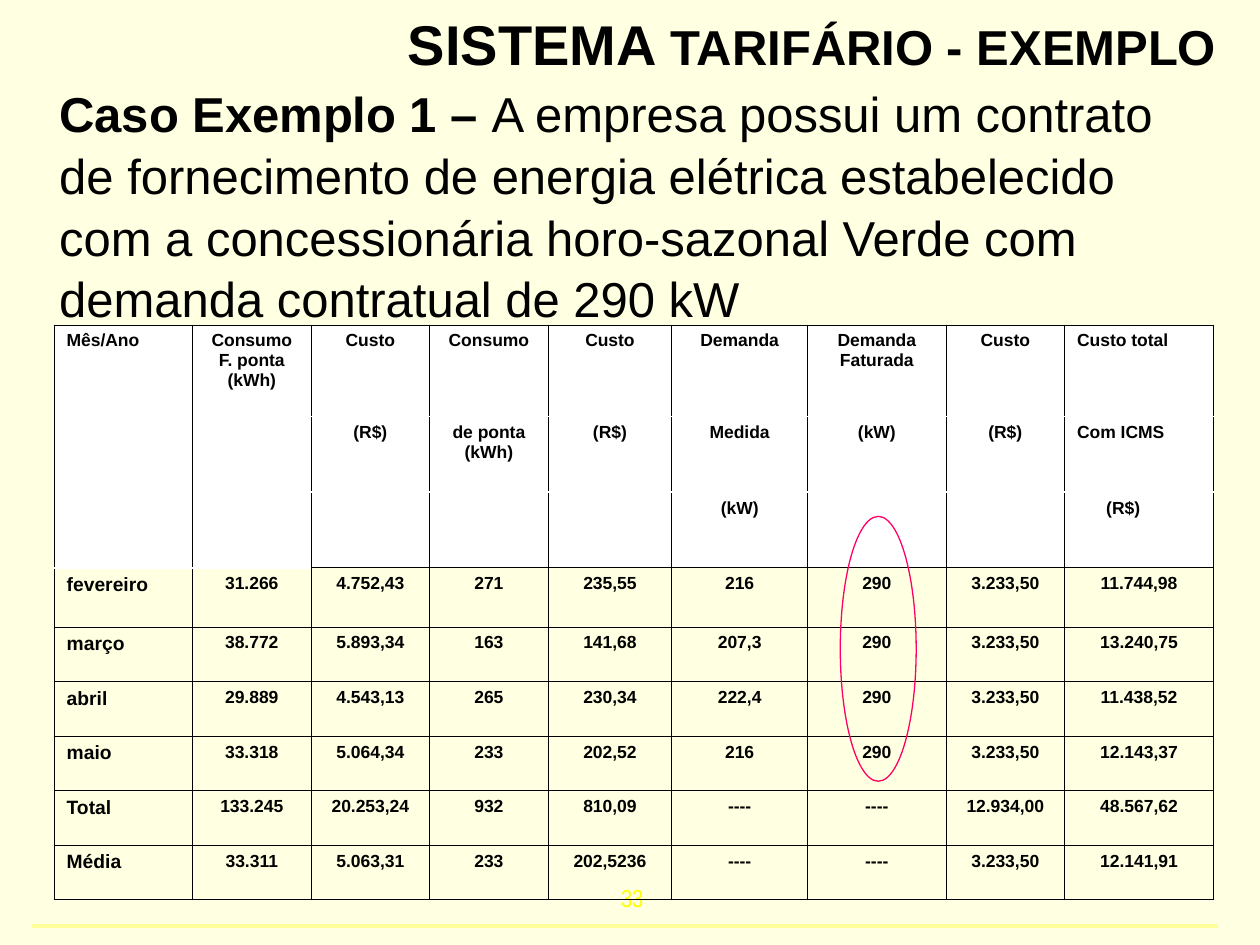
from lxml.etree import SubElement
from pptx import Presentation
from pptx.dml.color import RGBColor
from pptx.enum.shapes import MSO_CONNECTOR, MSO_SHAPE
from pptx.enum.text import MSO_ANCHOR, MSO_AUTO_SIZE, PP_ALIGN
from pptx.oxml.ns import qn
from pptx.util import Cm, Pt

COLORS = {
    "background": "FFFFE1",
    "footer_line": "FFFF99",
    "number": "FFFF00",
    "text": "000000",
    "header": "FFFFFF",
    "highlight": "FF0066",
}


def add_run(paragraph, text, size, bold=True, name="Arial", color="text"):
    run = paragraph.add_run()
    run.text = text
    for attribute, value in {"size": Pt(size), "bold": bold, "name": name}.items():
        setattr(run.font, attribute, value)
    run.font.color.rgb = RGBColor.from_string(COLORS[color])


def add_border(cell, side):
    line = SubElement(cell._tc.get_or_add_tcPr(), qn(f"a:ln{side}"), w=str(Pt(0.45)))
    fill = SubElement(line, qn("a:solidFill"))
    SubElement(fill, qn("a:srgbClr"), val=COLORS["text"])


presentation = Presentation()
presentation.slide_width = Cm(25.4)
presentation.slide_height = Cm(19.05)
slide = presentation.slides.add_slide(presentation.slide_layouts[1])
slide.background.fill.solid()
slide.background.fill.fore_color.rgb = RGBColor.from_string(COLORS["background"])

footer_line = slide.shapes.add_connector(
    MSO_CONNECTOR.STRAIGHT, Cm(0.64), Cm(18.67), Cm(24.56), Cm(18.67)
)
footer_line.line.color.rgb = RGBColor.from_string(COLORS["footer_line"])
footer_line.line.width = Pt(2.25)
SubElement(footer_line._element.spPr, qn("a:effectLst"))

number = slide.shapes.add_textbox(Cm(12.27), Cm(17.68), Cm(1.9), Cm(0.86))
number.text_frame.word_wrap = True
add_run(number.text_frame.paragraphs[0], "33", 14, False, "Arial Narrow", "number")

title = slide.shapes.title
body = slide.placeholders[1]
placeholders = [
    (title, (1.22, 0, 23.55, 1.63), PP_ALIGN.RIGHT,
     [("SISTEMA", 32, True), (" TARIFÁRIO - EXEMPLO", 28, True)]),
    (body, (0.94, 1.5, 23.67, 5), PP_ALIGN.LEFT,
     [("Caso Exemplo 1 – ", 28, True),
      ("A empresa possui um contrato de fornecimento de energia elétrica "
       "estabelecido com a concessionária horo-sazonal Verde com demanda "
       "contratual de 290 kW", 28, False)]),
]
for shape, position, alignment, runs in placeholders:
    for attribute, value in zip(("left", "top", "width", "height"), position):
        setattr(shape, attribute, Cm(value))
    frame_format = {
        "word_wrap": True,
        "auto_size": MSO_AUTO_SIZE.NONE,
        "vertical_anchor": MSO_ANCHOR.TOP,
    }
    for attribute, value in frame_format.items():
        setattr(shape.text_frame, attribute, value)
    paragraph = shape.text_frame.paragraphs[0]
    properties = paragraph._p.get_or_add_pPr()
    properties.set("marL", "0")
    properties.set("indent", "0")
    SubElement(properties, qn("a:buNone"))
    paragraph_format = {"alignment": alignment, "line_spacing": 1.05, "space_before": Pt(0)}
    for attribute, value in paragraph_format.items():
        setattr(paragraph, attribute, value)
    for text, size, bold in runs:
        add_run(paragraph, text, size, bold)

HEADER_ROWS = 3
rows = [
    ["Mês/Ano", "Consumo F. ponta (kWh)", "Custo", "Consumo", "Custo", "Demanda",
     "Demanda Faturada", "Custo", "Custo total"],
    ["", "", "(R$)", "de ponta (kWh)", "(R$)", "Medida", "(kW)", "(R$)", "Com ICMS"],
    ["", "", "", "", "", "(kW)", "", "", "(R$)"],
    ["fevereiro", "31.266", "4.752,43", "271", "235,55", "216", "290", "3.233,50", "11.744,98"],
    ["março", "38.772", "5.893,34", "163", "141,68", "207,3", "290", "3.233,50", "13.240,75"],
    ["abril", "29.889", "4.543,13", "265", "230,34", "222,4", "290", "3.233,50", "11.438,52"],
    ["maio", "33.318", "5.064,34", "233", "202,52", "216", "290", "3.233,50", "12.143,37"],
    ["Total", "133.245", "20.253,24", "932", "810,09", "----", "----", "12.934,00", "48.567,62"],
    ["Média", "33.311", "5.063,31", "233", "202,5236", "----", "----", "3.233,50", "12.141,91"],
]
column_widths = [2.79, 2.39, 2.39, 2.39, 2.49, 2.74, 2.79, 2.39, 3]
row_heights = [1.85, 1.52, 1.52, 1.19] + [1.1] * 5
table_frame = slide.shapes.add_table(
    len(rows), len(column_widths), Cm(1.09), Cm(6.55),
    Cm(sum(column_widths)), Cm(sum(row_heights)),
)
table = table_frame.table
table.first_row = False
table.horz_banding = False
for column, width in zip(table.columns, column_widths):
    column.width = Cm(width)
for row, height in zip(table.rows, row_heights):
    row.height = Cm(height)

last_column = len(column_widths) - 1
for row_index, texts in enumerate(rows):
    is_header = row_index < HEADER_ROWS
    for column_index, text in enumerate(texts):
        cell = table.cell(row_index, column_index)
        sides = ["L", "R"]
        if row_index == 0 or not is_header:
            sides.append("T")
        if row_index >= HEADER_ROWS - 1:
            sides.append("B")
        for side in sides:
            add_border(cell, side)
        if is_header:
            cell.fill.solid()
            cell.fill.fore_color.rgb = RGBColor.from_string(COLORS["header"])
        else:
            cell.fill.background()
        if text:
            paragraph = cell.text_frame.paragraphs[0]
            is_left = column_index == 0 or (is_header and column_index == last_column)
            paragraph.alignment = PP_ALIGN.LEFT if is_left else PP_ALIGN.CENTER
            add_run(paragraph, text, 11 if column_index == 0 and not is_header else 10)

table.cell(HEADER_ROWS - 1, last_column).margin_left = Cm(0.84)
for column_index in range(2):
    table.cell(0, column_index).merge(table.cell(HEADER_ROWS - 1, column_index))

highlight = slide.shapes.add_shape(MSO_SHAPE.OVAL, Cm(16.94), Cm(10.41), Cm(1.53), Cm(5.34))
highlight.shadow.inherit = False
highlight.fill.background()
highlight.line.color.rgb = RGBColor.from_string(COLORS["highlight"])
highlight.line.width = Pt(0.75)

presentation.save("out.pptx")
